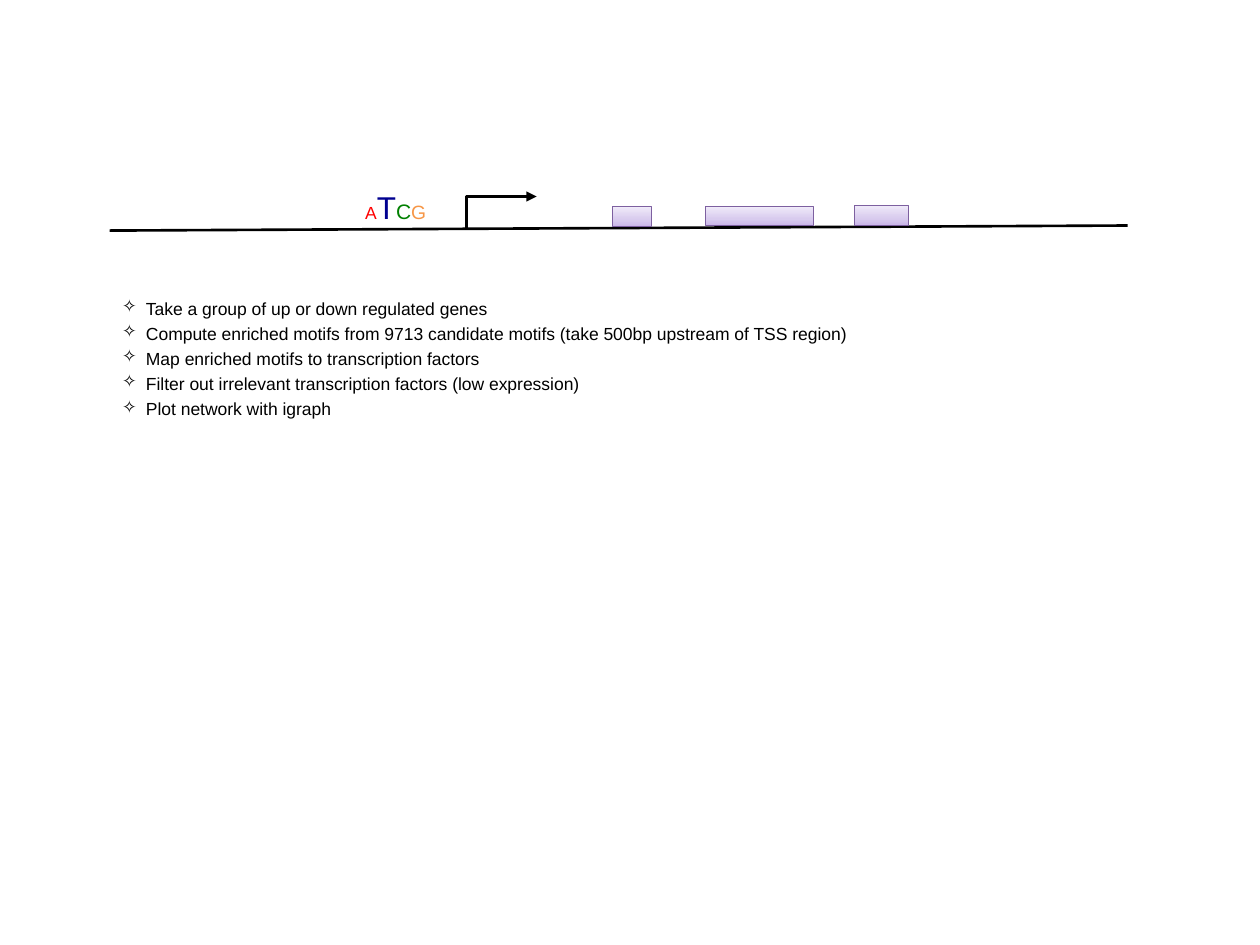
from copy import deepcopy
from lxml.etree import SubElement
from pptx import Presentation
from pptx.dml.color import RGBColor
from pptx.enum.shapes import MSO_CONNECTOR, MSO_SHAPE
from pptx.enum.text import MSO_AUTO_SIZE
from pptx.oxml.ns import qn
from pptx.util import Inches, Pt

COLORS = {"black": "000000", "red": "FF0000", "navy": "000090", "green": "008000",
          "orange": "F79646", "exon_line": "7D60A0"}
EXON_STOPS = [(0, "C9B5E8"), (0.35, "D8CBEE"), (1, "F0EAF9")]
EXONS = [(5.6, 1.64, 0.86, 0.15), (6.78, 1.63, 0.43, 0.16), (4.86, 1.64, 0.31, 0.16)]
MOTIF = [("A", 10, "red"), ("T", 18, "navy"), ("C", 12, "green"), ("G", 11, "orange")]
STEPS = [
    "Take a group of up or down regulated genes",
    "Compute enriched motifs from 9713 candidate motifs (take 500bp upstream of TSS region) ",
    "Map enriched motifs to transcription factors",
    "Filter out irrelevant transcription factors (low expression)",
    "Plot network with igraph",
]

deck = Presentation()
deck.slide_width, deck.slide_height = Inches(10), Inches(7.5)
page = deck.slides.add_slide(deck.slide_layouts[6])


def rgb(name):
    return RGBColor.from_string(COLORS[name])


def add_line(kind, *points):
    line = page.shapes.add_connector(kind, *map(Inches, points))
    line.line.color.rgb = rgb("black")
    line.line.width = Pt(1.5)
    SubElement(line._element.spPr, qn("a:effectLst"))
    return line


def add_exon(bounds):
    exon = page.shapes.add_shape(MSO_SHAPE.RECTANGLE, *map(Inches, bounds))
    exon.shadow.inherit = False
    exon.line.color.rgb = rgb("exon_line")
    exon.line.width = Pt(0.75)
    exon.fill.gradient()
    exon.fill.gradient_angle = 90
    stop_list = exon._element.spPr.find(".//" + qn("a:gsLst"))
    stop_list.append(deepcopy(stop_list[0]))
    for stop, (position, color) in zip(exon.fill.gradient_stops, EXON_STOPS):
        stop.position = position
        stop.color.rgb = RGBColor.from_string(color)


def add_text_box(*bounds):
    frame = page.shapes.add_textbox(*map(Inches, bounds)).text_frame
    frame.word_wrap = False
    frame.auto_size = MSO_AUTO_SIZE.SHAPE_TO_FIT_TEXT
    return frame


def add_span(para, text, size, color):
    span = para.add_run()
    span.text = text
    span.font.name = "Arial"
    span.font.size = Pt(size)
    span.font.color.rgb = rgb(color)


add_line(MSO_CONNECTOR.STRAIGHT, 0.87, 1.83, 8.95, 1.79)

start_arrow = add_line(MSO_CONNECTOR.ELBOW, 3.7, 1.81, 4.26, 1.56)
geometry = start_arrow._element.spPr.find(qn("a:prstGeom"))
SubElement(geometry.find(qn("a:avLst")), qn("a:gd"), name="adj1", fmla="val 600")
SubElement(start_arrow.line._get_or_add_ln(), qn("a:tailEnd"), type="triangle")

for bounds in EXONS:
    add_exon(bounds)

motif_para = add_text_box(2.8, 1.44, 0.69, 0.4).paragraphs[0]
for letter, size, color in MOTIF:
    add_span(motif_para, letter, size, color)

steps_frame = add_text_box(0.87, 2.28, 6.02, 1.31)
for index, step in enumerate(STEPS):
    para = steps_frame.add_paragraph() if index else steps_frame.paragraphs[0]
    para.line_spacing = 1.2
    properties = para._p.get_or_add_pPr()
    properties.set("marL", str(Inches(0.19)))
    properties.set("indent", str(-Inches(0.19)))
    SubElement(properties, qn("a:buChar"), char="✧")
    add_span(para, step, 10, "black")

deck.save("out.pptx")
